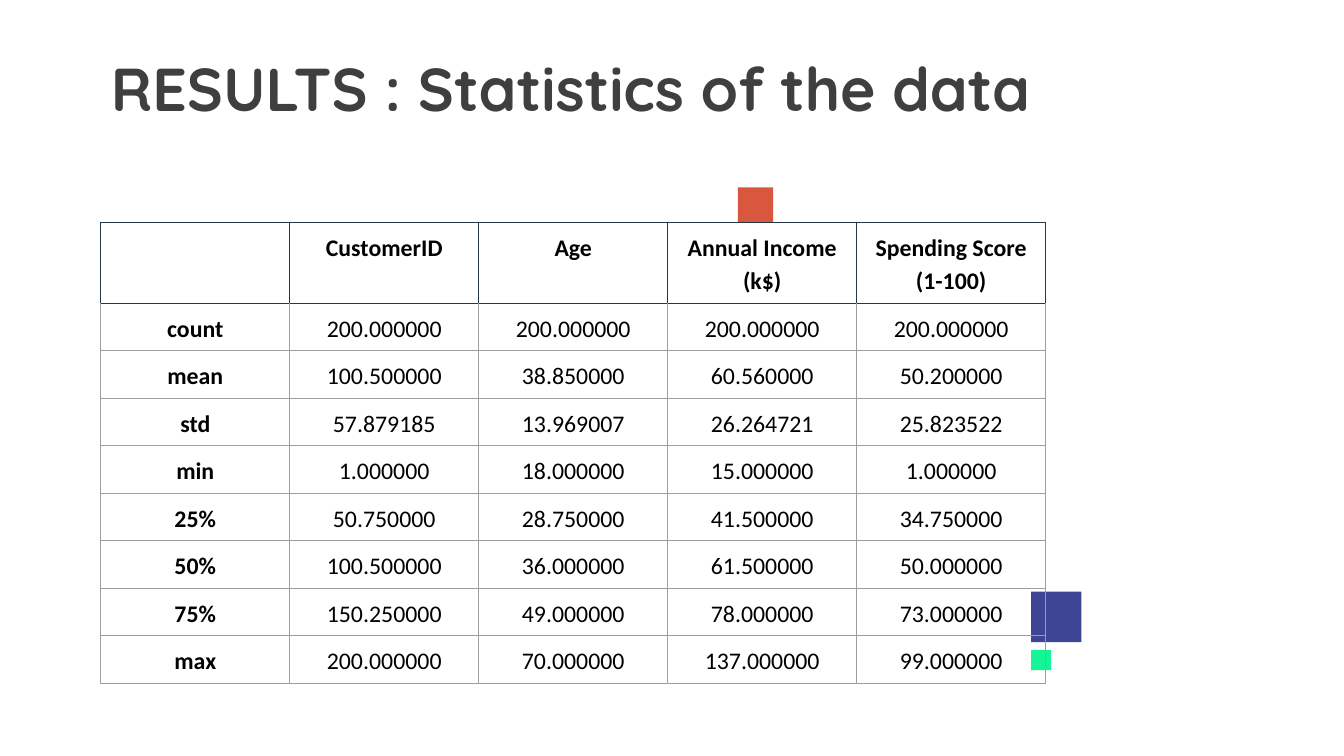
from lxml import etree
from pptx import Presentation
from pptx.dml import color
from pptx.enum import shapes, text
from pptx.oxml import ns
from pptx.util import Pt

HEADERS = ["", "CustomerID", "Age", "Annual Income (k$)", "Spending Score (1-100)"]
STATISTICS = [
    ["count", "200.000000", "200.000000", "200.000000", "200.000000"],
    ["mean", "100.500000", "38.850000", "60.560000", "50.200000"],
    ["std", "57.879185", "13.969007", "26.264721", "25.823522"],
    ["min", "1.000000", "18.000000", "15.000000", "1.000000"],
    ["25%", "50.750000", "28.750000", "41.500000", "34.750000"],
    ["50%", "100.500000", "36.000000", "61.500000", "50.000000"],
    ["75%", "150.250000", "49.000000", "78.000000", "73.000000"],
    ["max", "200.000000", "70.000000", "137.000000", "99.000000"],
]


def rgb(value):
    return color.RGBColor.from_string(value)


class SlideBuilder:
    """Holds the style and the current slide; lengths are in points."""

    title_font = "Quicksand"
    body_font = "Calibri"
    title_color = "3F3F3F"
    text_color = "000000"
    header_border = "233A44"
    body_border = "9E9E9E"
    border_width = 0.75
    cell_margin = 5.04

    def __init__(self, presentation):
        self.slide = presentation.slides.add_slide(presentation.slide_layouts[5])

    def add_run(self, paragraph, content, font, size, value, bold):
        run = paragraph.add_run()
        run.text = content
        run.font.name = font
        run.font.size = Pt(size)
        run.font.bold = bold
        run.font.color.rgb = rgb(value)

    def title(self, content, left, top, width, height):
        shape = self.slide.shapes.title
        shape.left, shape.top = Pt(left), Pt(top)
        shape.width, shape.height = Pt(width), Pt(height)
        frame = shape.text_frame
        frame.auto_size = text.MSO_AUTO_SIZE.NONE
        frame.vertical_anchor = text.MSO_ANCHOR.MIDDLE
        paragraph = frame.paragraphs[0]
        paragraph.alignment = text.PP_ALIGN.LEFT
        self.add_run(paragraph, content, self.title_font, 43.2, self.title_color, True)

    def square(self, left, top, side, fill):
        shape = self.slide.shapes.add_shape(
            shapes.MSO_SHAPE.RECTANGLE, Pt(left), Pt(top), Pt(side), Pt(side))
        shape.shadow.inherit = False
        shape.fill.solid()
        shape.fill.fore_color.rgb = rgb(fill)
        shape.line.fill.background()

    def table(self, rows, left, top, column_width, row_height):
        """Draw rows whose first row and first column are bold headings."""
        columns = len(rows[0])
        table = self.slide.shapes.add_table(
            len(rows), columns, Pt(left), Pt(top),
            Pt(column_width * columns), Pt(row_height * len(rows))).table
        table.first_row = table.horz_banding = False
        for column in table.columns:
            column.width = Pt(column_width)
        for row_index, row in enumerate(rows):
            table.rows[row_index].height = Pt(row_height)
            for column_index, content in enumerate(row):
                self.cell(table.cell(row_index, column_index), content,
                          row_index, column_index)

    def cell(self, cell, content, row_index, column_index):
        border = self.body_border if row_index else self.header_border
        top_border = self.body_border if row_index > 1 else self.header_border
        for side in "LRTB":
            self.border(cell, side, top_border if side == "T" else border)
        cell.fill.background()
        cell.margin_left = cell.margin_right = Pt(self.cell_margin)
        cell.margin_top = cell.margin_bottom = Pt(self.cell_margin)
        if row_index and not column_index:
            cell.vertical_anchor = text.MSO_ANCHOR.MIDDLE
        if content:
            paragraph = cell.text_frame.paragraphs[0]
            paragraph.alignment = text.PP_ALIGN.CENTER
            paragraph.line_spacing = 1.15
            heading = row_index == 0 or column_index == 0
            self.add_run(paragraph, content, self.body_font, 17, self.text_color, heading)

    def border(self, cell, side, value):
        properties = cell._tc.get_or_add_tcPr()
        line = etree.SubElement(properties, ns.qn(f"a:ln{side}"),
                                w=str(Pt(self.border_width)))
        fill = etree.SubElement(line, ns.qn("a:solidFill"))
        etree.SubElement(fill, ns.qn("a:srgbClr"), val=value)


def main():
    presentation = Presentation()
    presentation.slide_width, presentation.slide_height = Pt(960), Pt(540)
    builder = SlideBuilder(presentation)
    builder.square(736.56, 422.64, 36, "3D4594")
    builder.square(527.04, 133.92, 25.2, "D9563F")
    builder.square(736.56, 464.4, 14.4, "14F597")
    builder.title("RESULTS : Statistics of the data", 72, 29.5, 687, 65.5)
    builder.table([HEADERS] + STATISTICS, 72, 158.6, 135, 30.24)
    presentation.save("out.pptx")


if __name__ == "__main__":
    main()
